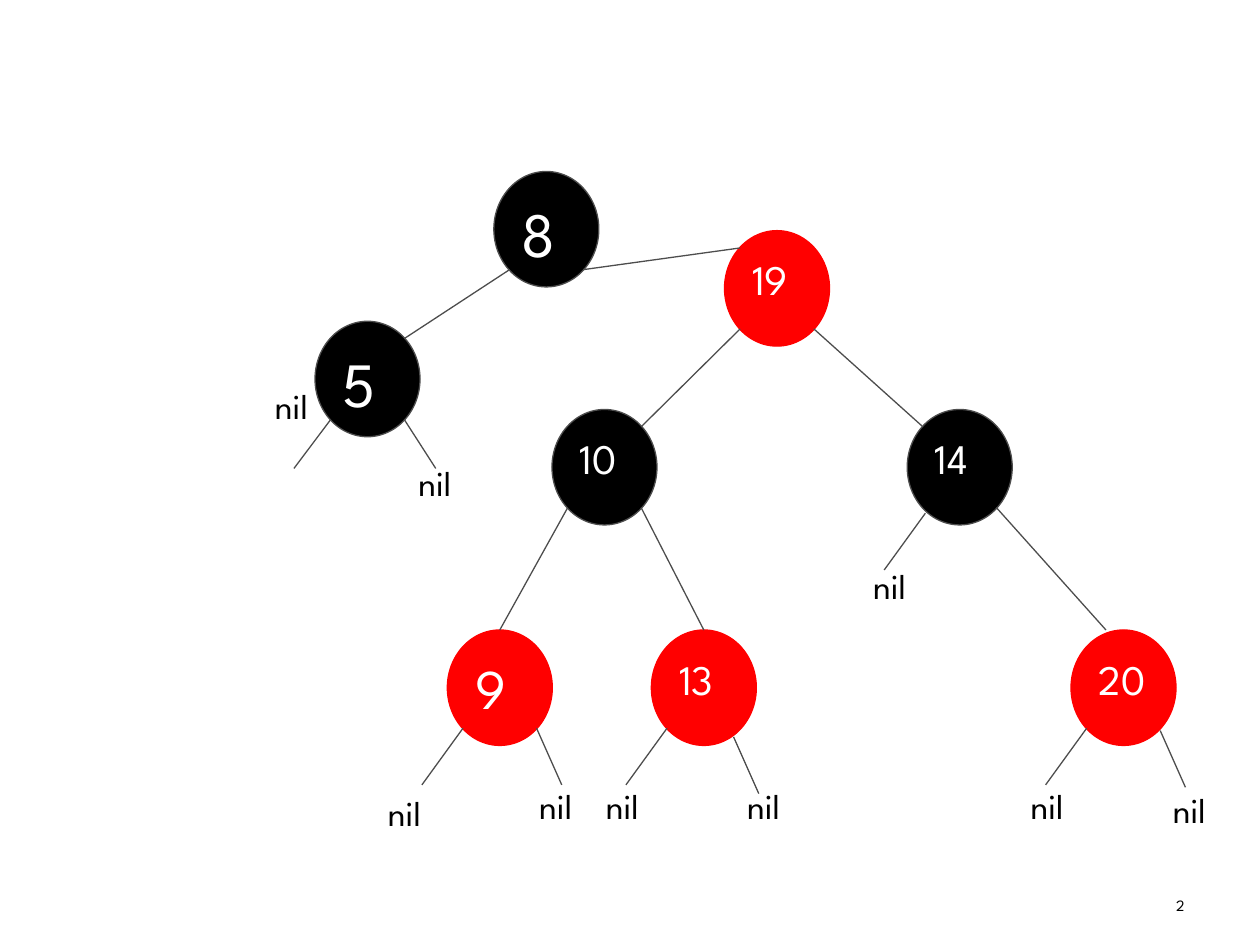
from collections import namedtuple
from dataclasses import dataclass

from lxml.etree import SubElement
from pptx import Presentation
from pptx.dml.color import RGBColor
from pptx.enum.shapes import MSO_CONNECTOR, MSO_SHAPE
from pptx.enum.text import MSO_ANCHOR, MSO_AUTO_SIZE, PP_ALIGN
from pptx.oxml.ns import qn
from pptx.util import Pt


@dataclass(frozen=True)
class Theme:
    font: str = "League Spartan"
    black: RGBColor = RGBColor(0, 0, 0)
    red: RGBColor = RGBColor(255, 0, 0)
    white: RGBColor = RGBColor(255, 255, 255)
    edge: RGBColor = RGBColor(0x4D, 0x4D, 0x4D)
    line_width: float = 0.75
    large_key: int = 36
    medium_key: int = 32
    small_key: int = 24
    nil: int = 20
    page_number: int = 9


THEME = Theme()
Box = namedtuple("Box", "left top width height")
Node = namedtuple("Node", "left top red size")
Edge = namedtuple("Edge", "parent start child end shift", defaults=[0])
Leaf = namedtuple("Leaf", "parent corner run label shift", defaults=[(0, 0)])

NODE_WIDTH, NODE_HEIGHT = 60, 66
NIL_WIDTH, NIL_HEIGHT = 60, 31.5

# Places on an ellipse, as fractions of its width and height
SITES = {
    "top": (0.5, 0),
    "top left": (0.15, 0.15),
    "top right": (0.85, 0.15),
    "bottom left": (0.15, 0.85),
    "bottom right": (0.85, 0.85),
}

# Positions are in points from the top left of the tree
NODES = {
    "8": Node(132.2, 0, False, THEME.large_key),
    "5": Node(30, 85.6, False, THEME.large_key),
    "14": Node(368.4, 136, False, THEME.small_key),
    "10": Node(165.4, 136, False, THEME.small_key),
    "19": Node(264, 33.8, True, THEME.small_key),
    "20": Node(462, 262, True, THEME.small_key),
    "13": Node(222.2, 262, True, THEME.small_key),
    "9": Node(105.6, 262, True, THEME.medium_key),
}

EDGES = [
    Edge("8", "bottom left", "5", "top right"),
    Edge("8", "bottom right", "19", "top left"),
    Edge("19", "bottom left", "10", "top right"),
    Edge("19", "bottom right", "14", "top left"),
    Edge("10", "bottom left", "9", "top"),
    Edge("10", "bottom right", "13", "top"),
    Edge("14", "bottom right", "20", "top", -10),
]

LEAVES = [
    Leaf("5", "bottom left", (-21, 28), (0, 118)),
    Leaf("5", "bottom right", (18, 28), (82, 162)),
    Leaf("9", "bottom left", (-23.5, 32.4), (64.6, 350.6)),
    Leaf("9", "bottom right", (14.4, 32.4), (151, 347)),
    Leaf("13", "bottom left", (-23.5, 32.4), (189.1, 347)),
    Leaf("13", "bottom right", (14.4, 32.4), (269.8, 347), (-4, 5)),
    Leaf("14", "bottom left", (-23.5, 32.4), (341.8, 221), (1.4, 3.2)),
    Leaf("20", "bottom left", (-23.5, 32.4), (431.8, 347)),
    Leaf("20", "bottom right", (14.4, 32.4), (513.1, 349.1), (0, 1.4)),
]


def lengths(values):
    return [Pt(value) for value in values]


def write(shape, text, size, color, alignment=PP_ALIGN.LEFT):
    frame = shape.text_frame
    frame.word_wrap = True
    frame.vertical_anchor = MSO_ANCHOR.TOP
    paragraph = frame.paragraphs[0]
    paragraph.text = text
    paragraph.alignment = alignment
    paragraph.font.name = THEME.font
    paragraph.font.size = Pt(size)
    paragraph.font.color.rgb = color


def add_text(slide, box, text, size, alignment=PP_ALIGN.LEFT):
    shape = slide.shapes.add_textbox(*lengths(box))
    write(shape, text, size, THEME.black, alignment)
    return shape


def add_node(slide, box, key, node):
    shape = slide.shapes.add_shape(MSO_SHAPE.OVAL, *lengths(box))
    shape.shadow.inherit = False
    shape.fill.solid()
    shape.fill.fore_color.rgb = THEME.red if node.red else THEME.black
    shape.line.color.rgb = THEME.red if node.red else THEME.edge
    shape.line.width = Pt(THEME.line_width)
    write(shape, key, node.size, THEME.white)


def add_edge(slide, start, end):
    connector = slide.shapes.add_connector(MSO_CONNECTOR.STRAIGHT, *lengths(start + end))
    connector.line.color.rgb = THEME.edge
    connector.line.width = Pt(THEME.line_width)
    SubElement(connector._element.spPr, qn("a:effectLst"))


def add_tree(slide, box):
    def node_box(key):
        node = NODES[key]
        return Box(box.left + node.left, box.top + node.top, NODE_WIDTH, NODE_HEIGHT)

    def site(key, name, shift=(0, 0)):
        area = node_box(key)
        across, down = SITES[name]
        return (area.left + across * area.width + shift[0],
                area.top + down * area.height + shift[1])

    # Nodes
    for key, node in NODES.items():
        add_node(slide, node_box(key), key, node)

    # Edges between nodes
    for edge in EDGES:
        add_edge(slide, site(edge.parent, edge.start),
                 site(edge.child, edge.end, (edge.shift, 0)))

    # Edges to the nil leaves, with their labels
    for leaf in LEAVES:
        start = site(leaf.parent, leaf.corner, leaf.shift)
        add_edge(slide, start, (start[0] + leaf.run[0], start[1] + leaf.run[1]))
        label_box = Box(box.left + leaf.label[0], box.top + leaf.label[1],
                        NIL_WIDTH, NIL_HEIGHT)
        label = add_text(slide, label_box, "nil", THEME.nil)
        label.text_frame.auto_size = MSO_AUTO_SIZE.SHAPE_TO_FIT_TEXT


def main():
    presentation = Presentation()
    presentation.slide_width, presentation.slide_height = Pt(720), Pt(540)
    slide = presentation.slides.add_slide(presentation.slide_layouts[6])
    add_text(slide, Box(516, 508.3, 168, 21), "2", THEME.page_number, PP_ALIGN.RIGHT)
    add_tree(slide, Box(150, 98, 573, 382))
    presentation.save("out.pptx")


if __name__ == "__main__":
    main()
